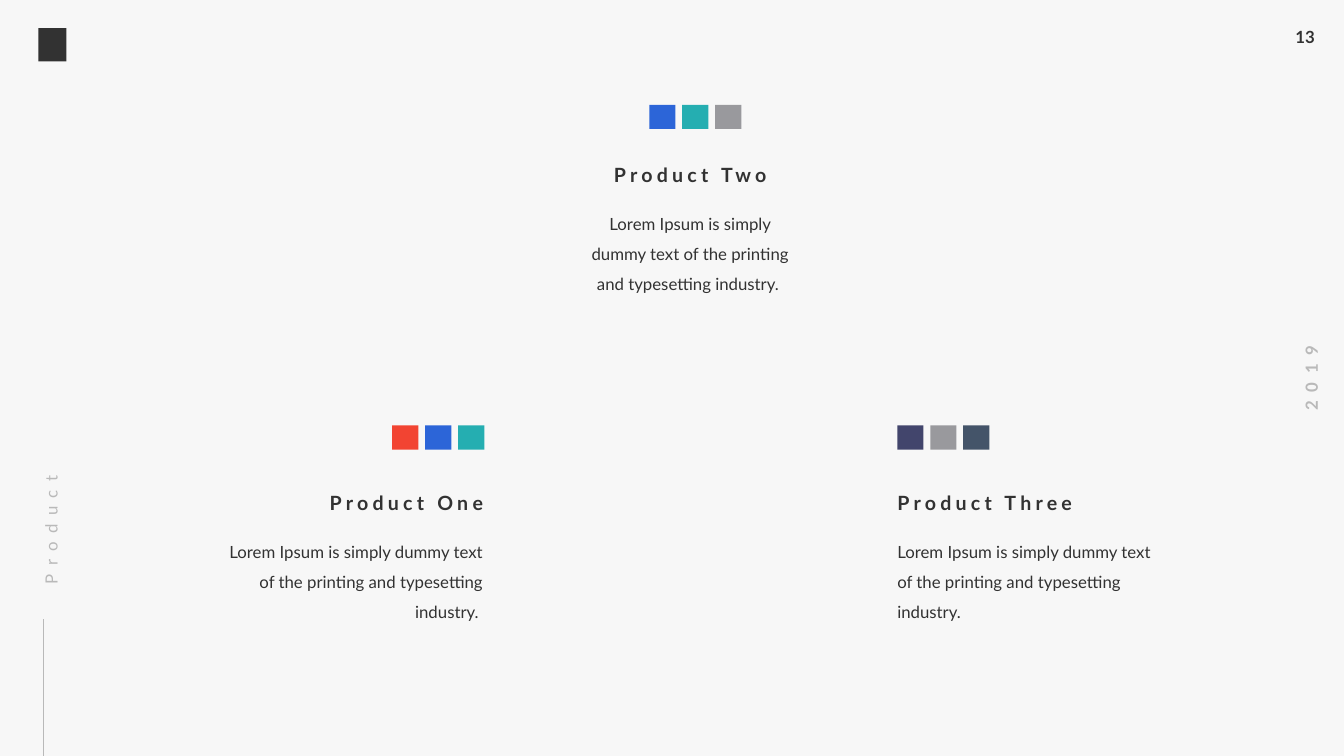
from lxml import etree
from pptx import Presentation
from pptx.dml.color import RGBColor
from pptx.enum import shapes, text
from pptx.oxml.ns import qn
from pptx.util import Inches, Pt

DARK, PALE = "323232", "B9B9B9"
BLUE, TEAL, GRAY = "2C65D8", "25AEB1", "99999D"
RED, PURPLE, SLATE = "F24432", "42456C", "445469"
LEFT, CENTER, RIGHT = text.PP_ALIGN.LEFT, text.PP_ALIGN.CENTER, text.PP_ALIGN.RIGHT
PRODUCT_INSETS = (0, 0, 0.1, 0)

presentation = Presentation()
presentation.slide_width = Inches(13.33)
presentation.slide_height = Inches(7.5)
slide = presentation.slides.add_slide(presentation.slide_layouts[6])


def paint(color_format, color):
    color_format.rgb = RGBColor.from_string(color)


def add_text(content, left, top, width, height, size=12, color=DARK, bold=False,
             align=LEFT, spacing=0, line_spacing=None, rotation=0, wrap=True,
             insets=(0.1, 0.05, 0.1, 0.05)):
    box = slide.shapes.add_textbox(Inches(left), Inches(top), Inches(width), Inches(height))
    box.rotation = rotation
    frame = box.text_frame
    frame.word_wrap = wrap
    frame.auto_size = text.MSO_AUTO_SIZE.SHAPE_TO_FIT_TEXT
    (frame.margin_left, frame.margin_top,
     frame.margin_right, frame.margin_bottom) = map(Inches, insets)
    paragraph = frame.paragraphs[0]
    paragraph.alignment = align
    paragraph.line_spacing = line_spacing
    run = paragraph.add_run()
    run.text = content
    run.font.name = "Lato"
    run.font.size = Pt(size)
    run.font.bold = bold
    paint(run.font.color, color)
    if spacing:
        run.font._element.set("spc", str(spacing * 100))


# Background
slide.background.fill.solid()
paint(slide.background.fill.fore_color, "F7F7F7")

# Page number and year
add_text("13", 12.75, 0.22, 0.41, 0.3, bold=True, wrap=False)
add_text("2019", 12.54, 3.6, 0.93, 0.3, color=PALE, bold=True, align=CENTER,
         spacing=6, rotation=270, wrap=False)

# Section label with its rule
add_text("Product", -0.49, 4.74, 1.85, 0.26, color=PALE, spacing=6,
         line_spacing=1.5, rotation=270, insets=PRODUCT_INSETS)
rule = slide.shapes.add_connector(shapes.MSO_CONNECTOR.STRAIGHT, Inches(0.43), Inches(7.5),
                                  Inches(0.43), Inches(6.14))
rule.line.width = Pt(0.5)
paint(rule.line.color, PALE)
etree.SubElement(rule._element.spPr, qn("a:effectLst"))

# Products: name, description, alignment, name box, description box, swatches
description = "Lorem Ipsum is simply dummy text of the printing and typesetting industry."
products = [
    ("Product Two", description + " ", CENTER, (5.72, 1.62, 2.35), (5.81, 2.02, 2.17),
     (6.44, 1.04), (BLUE, TEAL, GRAY)),
    ("Product One", description + " ", RIGHT, (2.54, 4.87, 2.35), (2.26, 5.27, 2.63),
     (3.89, 4.22), (RED, BLUE, TEAL)),
    ("Product Three", description, LEFT, (8.9, 4.87, 2.35), (8.9, 5.27, 2.63),
     (8.9, 4.22), (PURPLE, GRAY, SLATE)),
]
squares = [(0.38, 0.28, 0.28, 0.33, DARK)]  # corner mark
for name, body, align, name_box, body_box, (left, top), colors in products:
    add_text(name, *name_box, 0.24, size=14, bold=True, align=align, spacing=3,
             insets=PRODUCT_INSETS)
    add_text(body, *body_box, 0.87, align=align, line_spacing=1.5, insets=PRODUCT_INSETS)
    for index, color in enumerate(colors):
        squares.append((left + index * 0.327, top, 0.26, 0.24, color))

# Colour swatches and corner mark
for left, top, width, height, color in squares:
    square = slide.shapes.add_shape(shapes.MSO_SHAPE.RECTANGLE, Inches(left), Inches(top),
                                    Inches(width), Inches(height))
    square.shadow.inherit = False
    square.fill.solid()
    paint(square.fill.fore_color, color)
    square.line.fill.background()

presentation.save("out.pptx")
